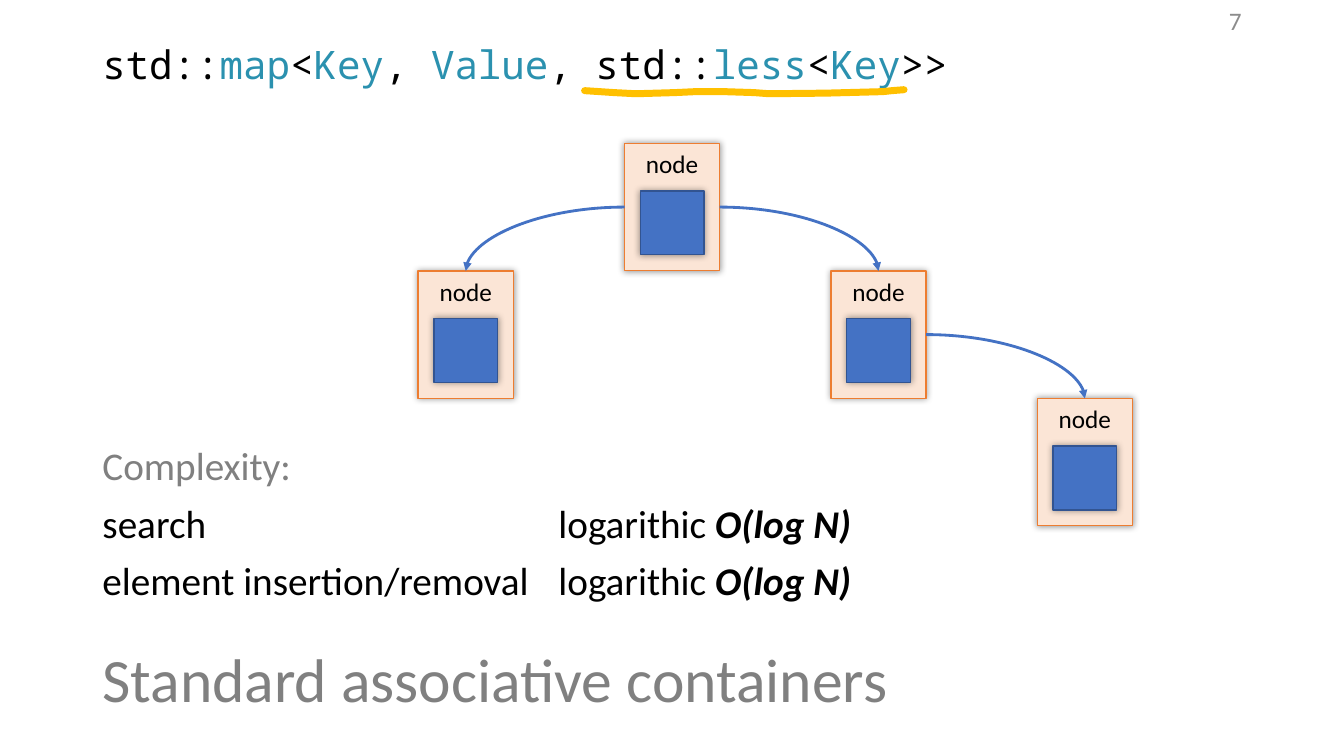
from lxml.etree import SubElement
from pptx import Presentation
from pptx.dml.color import RGBColor
from pptx.enum.shapes import MSO_CONNECTOR, MSO_SHAPE
from pptx.enum.text import MSO_ANCHOR, MSO_AUTO_SIZE, PP_ALIGN
from pptx.oxml.ns import qn
from pptx.util import Pt

BLACK = RGBColor(0x00, 0x00, 0x00)
GRAY = RGBColor(0x80, 0x80, 0x80)
SILVER = RGBColor(0x8C, 0x8C, 0x8C)
TEAL = RGBColor(0x2B, 0x91, 0xAF)
PEACH = RGBColor(0xFB, 0xE5, 0xD6)
ORANGE = RGBColor(0xED, 0x7D, 0x31)
BLUE = RGBColor(0x44, 0x72, 0xC4)
NAVY = RGBColor(0x32, 0x54, 0x91)
GOLD = RGBColor(0xFF, 0xC0, 0x00)


def add_run(para, text, size, color, face="Calibri", strong=False):
    run = para.add_run()
    run.text = text
    font = run.font
    font.name, font.size, font.color.rgb = face, Pt(size), color
    font.bold = font.italic = strong


def add_box(left, top, width, height, fill, line):
    box = slide.shapes.add_shape(
        MSO_SHAPE.RECTANGLE, Pt(left), Pt(top), Pt(width), Pt(height))
    box.fill.solid()
    box.fill.fore_color.rgb = fill
    box.line.color.rgb = line
    box.line.width = Pt(1)
    # Soft glow of shadow on all sides
    box.shadow.inherit = False
    effects = box._element.spPr.find(qn("a:effectLst"))
    shade = SubElement(effects, qn("a:outerShdw"), blurRad=str(Pt(5)),
                       dist="0", dir="0", algn="ctr", rotWithShape="0")
    tint = SubElement(shade, qn("a:srgbClr"), val="000000")
    SubElement(tint, qn("a:alpha"), val="40000")
    return box


deck = Presentation()
deck.slide_width, deck.slide_height = Pt(960), Pt(540)
slide = deck.slides.add_slide(deck.slide_layouts[5])

# Title at the foot of the slide
title = slide.shapes.title
title.left, title.top, title.width, title.height = Pt(66), Pt(435.6), Pt(828), Pt(104.4)
frame = title.text_frame
frame.auto_size = MSO_AUTO_SIZE.NONE
frame.vertical_anchor = MSO_ANCHOR.MIDDLE
para = frame.paragraphs[0]
para.alignment = PP_ALIGN.LEFT
para.line_spacing = 0.9
add_run(para, "Standard associative containers", 44, GRAY)

# Type declaration
code = slide.shapes.add_textbox(Pt(66), Pt(28.8), Pt(828), Pt(50))
code.text_frame.word_wrap = True
para = code.text_frame.paragraphs[0]
para.line_spacing = 0.9
para.space_before = Pt(10)
parts = ["std::", "map", "<", "Key", ", ", "Value", ", std::", "less", "<", "Key", ">>"]
for i, part in enumerate(parts):
    add_run(para, part, 28, TEAL if i % 2 else BLACK, "Noto Sans Mono")

# Slide number
number = slide.shapes.add_textbox(Pt(678), Pt(0), Pt(216), Pt(28.8))
number.text_frame.word_wrap = True
number.text_frame.vertical_anchor = MSO_ANCHOR.MIDDLE
para = number.text_frame.paragraphs[0]
para.alignment = PP_ALIGN.RIGHT
add_run(para, "7", 18, SILVER)

# Complexity table
table = slide.shapes.add_table(3, 2, Pt(66), Pt(313.2), Pt(645.6), Pt(122.4)).table
table.first_row = table.horz_banding = False
table.columns[0].width, table.columns[1].width = Pt(325.7), Pt(319.9)
for cell in table.iter_cells():
    cell.fill.background()
table.cell(0, 0).merge(table.cell(0, 1))
add_run(table.cell(0, 0).text_frame.paragraphs[0], "Complexity:", 28, GRAY)
for row, task in enumerate(["search", "element insertion/removal"], 1):
    add_run(table.cell(row, 0).text_frame.paragraphs[0], task, 28, BLACK)
    para = table.cell(row, 1).text_frame.paragraphs[0]
    add_run(para, "logarithic ", 28, BLACK)
    add_run(para, "O(log N)", 28, BLACK, strong=True)

# Hand-drawn underline of the comparator
points = [(417.6, 64.8), (438.5, 66.2), (454.3, 67), (482.4, 66.2), (496.8, 65.5),
          (517, 65.5), (538.6, 66.2), (549.4, 67), (590, 66.6), (630.7, 65.5),
          (637.2, 64.8), (645.8, 64.1)]
dots = [(Pt(x), Pt(y)) for x, y in points]
maker = slide.shapes.build_freeform(*dots[0])
maker.add_line_segments(dots[1:], close=False)
stroke = maker.convert_to_shape()
stroke.shadow.inherit = False
stroke.fill.background()
stroke.line.color.rgb = GOLD
stroke.line.width = Pt(5)
stroke.line._ln.set("cap", "rnd")

# Tree nodes, placed by column and level
nodes = {}
for name, col, level in [("root", 1, 0), ("left", 0, 1), ("right", 2, 1), ("leaf", 3, 2)]:
    x, y = 298.7 + 147.4 * col, 102.4 + 91.1 * level
    node = nodes[name] = add_box(x, y, 68, 91, PEACH, ORANGE)
    frame = node.text_frame
    frame.vertical_anchor = MSO_ANCHOR.TOP
    para = frame.paragraphs[0]
    para.alignment = PP_ALIGN.CENTER
    add_run(para, "node", 18, BLACK)
    add_box(x + 11.3, y + 34.1, 45.5, 45.5, BLUE, NAVY)

# Curved arrows from a node's side (1 left, 3 right) to the child's top
for start, side, end in [("root", 1, "left"), ("root", 3, "right"), ("right", 3, "leaf")]:
    a, b = nodes[start], nodes[end]
    edge = a.left if side == 1 else a.left + a.width
    link = slide.shapes.add_connector(
        MSO_CONNECTOR.CURVE, edge, a.top + a.height // 2, b.left + b.width // 2, b.top)
    link.begin_connect(a, side)
    link.end_connect(b, 0)
    link.line.color.rgb = BLUE
    link.line.width = Pt(2)
    SubElement(link.line._ln, qn("a:tailEnd"), type="triangle")
    props = link._element.spPr
    props.find(qn("a:prstGeom")).set("prst", "curvedConnector2")
    SubElement(props, qn("a:effectLst"))

deck.save("out.pptx")
